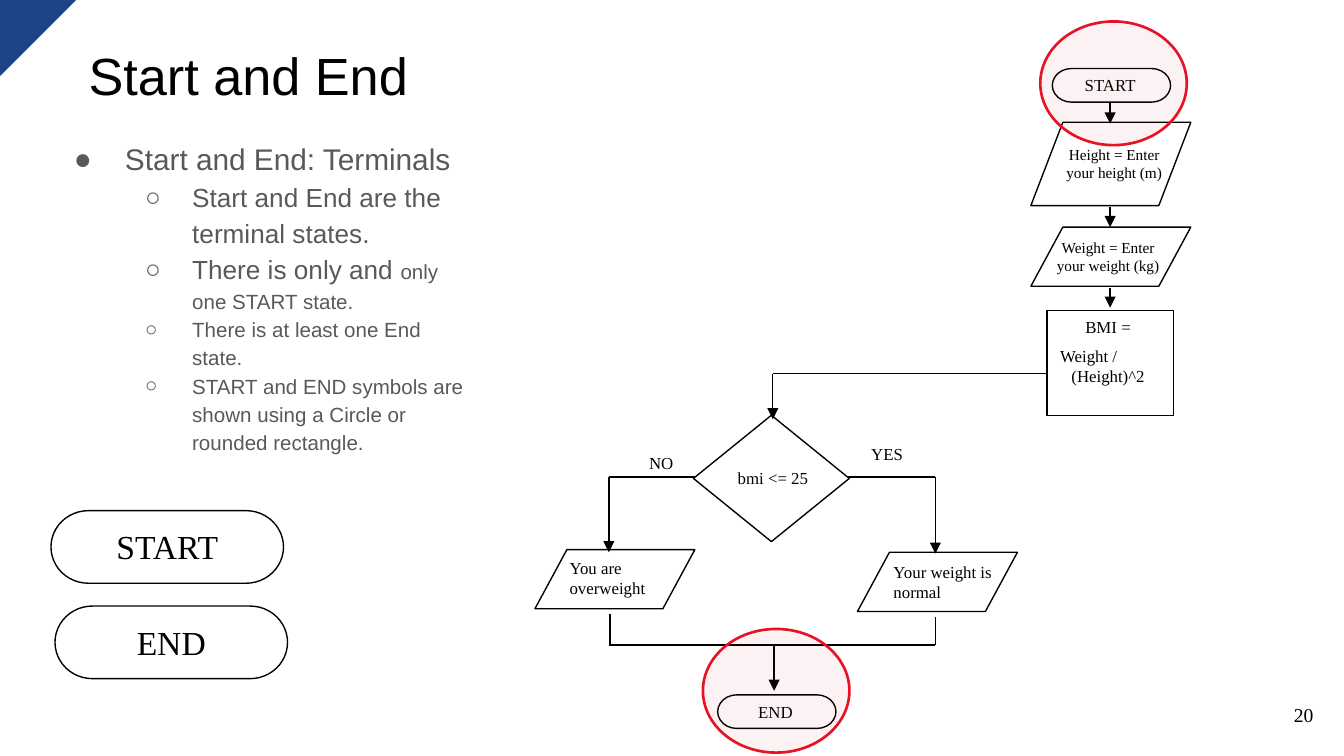
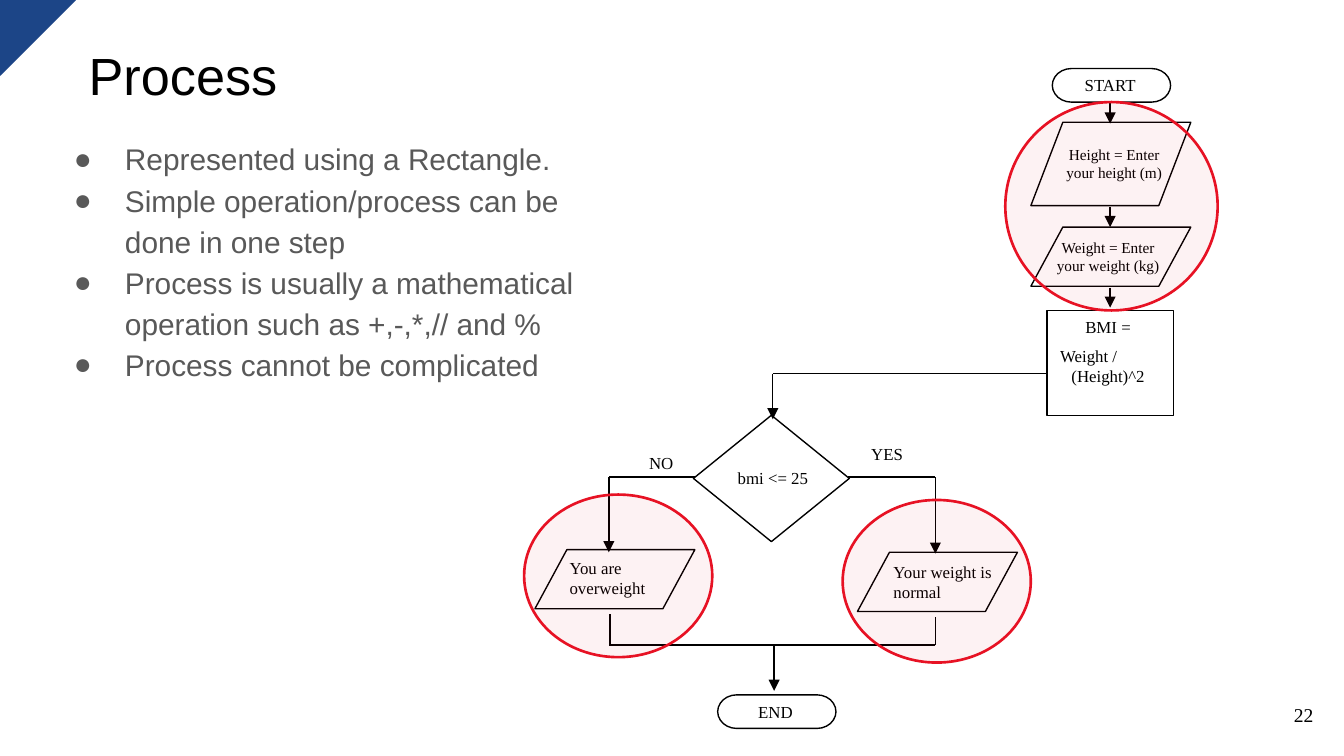
import collections

import pptx
import pptx.dml.color
import pptx.enum.shapes
import pptx.enum.text
import pptx.oxml
import pptx.oxml.ns
import pptx.util

SHAPE = pptx.enum.shapes.MSO_SHAPE
ALIGN = pptx.enum.text.PP_ALIGN
ANCHOR = pptx.enum.text.MSO_ANCHOR
FIT = pptx.enum.text.MSO_AUTO_SIZE
Pt = pptx.util.Pt

COLORS = {"ink": "000000", "body": "595959", "paper": "FFFFFF",
          "corner": "1C4587", "mark": "E71224"}
SANS, SERIF = "Arial", "Times New Roman"
CELL = 0.1  # inches per grid column and row
BULLETS = [("●", 0.5, -0.38), ("○", 1, -0.35)]  # sign, margin, indent by level

# Boxes are given in grid columns and rows
Box = collections.namedtuple("Box", "x y w h")
TITLE = Box(5.6, 2.2, 44.4, 6.8)
NUMBER = Box(92.7, 51, 6, 4.3)
CORNER = Box(0, 0, 5.6, 5.6)
CHART = Box(39.8, 5.1, 48.8, 49.1)

# Flowchart parts, relative to the CHART box: outline, its box
NODES = [
    (SHAPE.FLOWCHART_TERMINATOR, Box(38.5, 0, 8.8, 2.5)),
    (SHAPE.FLOWCHART_DATA, Box(36.9, 4, 11.9, 6.2)),
    (SHAPE.FLOWCHART_DATA, Box(36.9, 11.8, 11.9, 4.4)),
    (SHAPE.FLOWCHART_DECISION, Box(11.8, 25.8, 11.6, 9.4)),
    (SHAPE.FLOWCHART_DATA, Box(0, 35.8, 11.9, 4.4)),
    (SHAPE.FLOWCHART_DATA, Box(24, 36, 11.9, 4.4)),
    (SHAPE.FLOWCHART_TERMINATOR, Box(13.6, 46.6, 8.8, 2.5)),
]
FORMULA = Box(38.1, 18, 9.4, 7.8)
LABELS = [
    ("START", Box(39.7, 0, 6.2, 2.5), 9, ALIGN.CENTER),
    ("Height = Enter your height (m)", Box(38.4, 5.2, 9.4, 3.8), 8.2, ALIGN.CENTER),
    ("Weight = Enter your weight (kg)", Box(37.5, 12.1, 10.3, 3.8), 8.2, ALIGN.CENTER),
    ("bmi <= 25", Box(13.6, 29.2, 8.2, 2.5), 9, ALIGN.CENTER),
    ("YES", Box(23.1, 27.4, 6.2, 2.5), 9, ALIGN.CENTER),
    ("NO", Box(6.3, 28.1, 6.2, 2.5), 9, ALIGN.CENTER),
    ("You are overweight", Box(1.6, 35.9, 9.3, 4), 9, ALIGN.LEFT),
    ("Your weight is normal", Box(25.7, 36.2, 9.3, 4), 9, ALIGN.LEFT),
    ("END", Box(14.8, 46.6, 6.2, 2.5), 9, ALIGN.CENTER),
]
# Points along each path, and whether it ends in an arrowhead
PATHS = [
    ([(42.8, 2.6), (42.8, 4.1)], True),
    ([(42.8, 10.3), (42.8, 11.8)], True),
    ([(42.8, 16.3), (42.8, 17.8)], True),
    ([(38.1, 22.7), (17.7, 22.7), (17.7, 26.1)], True),
    ([(11.9, 30.4), (5.5, 30.4), (5.5, 36)], True),
    ([(23.3, 30.4), (29.8, 30.4), (29.8, 36.1)], True),
    ([(5.6, 40.6), (5.6, 42.8)], False),
    ([(29.8, 40.8), (29.8, 42.9), (5.5, 42.9)], False),
    ([(17.8, 42.9), (17.8, 46.3)], True),
]

SLIDES = [
    {"title": "Start and End", "number": "20", "body_width": 32.6,
     "items": [
         (0, [("Start and End: Terminals", 16)]),
         (1, [("Start and End are the terminal states.", 14)]),
         (1, [("There is only and ", 14), ("only one START state.", 11)]),
         (1, [("There is at least one End state.", 11)]),
         (1, [("START and END symbols are shown using a Circle or "
               "rounded rectangle.", 11)])],
     "terminals": [("START", Box(3.8, 38, 17.3, 5.4)),
                   ("END", Box(4.1, 45.1, 17.3, 5.4))],
     "marks": [Box(37.6, -3.5, 10.9, 9.2), Box(12.5, 41.7, 10.9, 9.2)]},
    {"title": "Process", "number": "22", "body_width": 43.9,
     "items": [(0, [(text, 16)]) for text in (
         "Represented using a Rectangle.",
         "Simple operation/process can be done in one step",
         "Process is usually a mathematical operation such as +,-,*,// and %",
         "Process cannot be complicated")],
     "terminals": [],
     "marks": [Box(35, 2.5, 15.8, 15.5), Box(-0.8, 31.7, 14, 12.1),
               Box(22.9, 32.1, 14, 12.1)]},
]


def cells(*counts):
    return [pptx.util.Inches(n * CELL) for n in counts]


def within(outer, inner):
    return Box(outer.x + inner.x, outer.y + inner.y, inner.w, inner.h)


def rgb(name):
    return pptx.dml.color.RGBColor.from_string(COLORS[name])


def add_xml(parent, tag, **attrs):
    el = parent.makeelement(pptx.oxml.ns.qn(tag), attrs)
    parent.append(el)
    return el


def style_run(r, size, font=SERIF, color="ink"):
    r.font.size, r.font.name = Pt(size), font
    r.font.color.rgb = rgb(color)


def set_inset(tf, inset=CELL):
    tf.margin_left = tf.margin_right = pptx.util.Inches(inset)
    tf.margin_top = tf.margin_bottom = pptx.util.Inches(inset)


def place(sp, box):
    sp.left, sp.top, sp.width, sp.height = cells(*box)


def add_outline(shapes, kind, box, line="ink", weight=0.75, fill=None):
    sp = shapes.add_shape(kind, *cells(*box))
    sp.shadow.inherit = False
    if fill:
        sp.fill.solid()
        sp.fill.fore_color.rgb = rgb(fill)
    else:
        sp.fill.background()
    sp.line.color.rgb = rgb(line)
    sp.line.width = Pt(weight)
    return sp


def write(tf, text, size, align):
    tf.word_wrap = True
    tf.text = text
    for i, p in enumerate(tf.paragraphs):
        p.alignment = align
        if i:
            p.space_before = Pt(size / 2)
        for r in p.runs:
            style_run(r, size)


def add_label(shapes, text, box, size, align=ALIGN.CENTER):
    tf = shapes.add_textbox(*cells(*box)).text_frame
    write(tf, text, size, align)
    tf.auto_size = FIT.SHAPE_TO_FIT_TEXT


def add_path(shapes, box, points, arrow):
    ends = [cells(box.x + x, box.y + y) for x, y in points]
    for start, end in zip(ends, ends[1:]):
        ln = shapes.add_connector(
            pptx.enum.shapes.MSO_CONNECTOR.STRAIGHT, *start, *end)
        ln.line.color.rgb = rgb("ink")
        ln.line.width = Pt(0.75)
        if arrow and end == ends[-1]:
            add_xml(ln.line._get_or_add_ln(), "a:tailEnd", type="triangle")
        add_xml(ln._element.spPr, "a:effectLst")


def add_title(s, text):
    sp = s.shapes.title
    place(sp, TITLE)
    sp.fill.solid()
    sp.fill.fore_color.rgb = rgb("paper")
    tf = sp.text_frame
    tf.text = text
    tf.vertical_anchor, tf.auto_size = ANCHOR.TOP, FIT.NONE
    set_inset(tf)
    tf.paragraphs[0].alignment = ALIGN.LEFT
    style_run(tf.paragraphs[0].runs[0], 28, SANS)


def add_bullet(p, level):
    sign, margin, indent = BULLETS[level]
    pPr = p._p.get_or_add_pPr()
    pPr.set("marL", str(pptx.util.Inches(margin)))
    pPr.set("indent", str(pptx.util.Inches(indent)))
    add_xml(add_xml(pPr, "a:buClr"), "a:srgbClr", val=COLORS["body"])
    add_xml(pPr, "a:buFont", typeface=SANS)
    add_xml(pPr, "a:buChar", char=sign)


def add_list(s, items, box):
    sp = s.placeholders[1]
    place(sp, box)
    tf = sp.text_frame
    tf.auto_size = FIT.NONE
    set_inset(tf)
    for i, (level, parts) in enumerate(items):
        p = tf.add_paragraph() if i else tf.paragraphs[0]
        p.level, p.line_spacing, p.space_before = level, 1.15, Pt(0)
        p.alignment = ALIGN.LEFT
        add_bullet(p, level)
        for text, size in parts:
            r = p.add_run()
            r.text = text
            style_run(r, size, SANS, "body")


def add_frame(s, number):
    # Page number and corner triangle
    tf = s.shapes.add_textbox(*cells(*NUMBER)).text_frame
    write(tf, number, 10.5, ALIGN.RIGHT)
    tf.vertical_anchor = ANCHOR.MIDDLE
    set_inset(tf)
    corner = add_outline(s.shapes, SHAPE.RIGHT_TRIANGLE, CORNER, "corner", fill="corner")
    corner.rotation = 90


def add_terminal(s, text, box):
    shapes = s.shapes.add_group_shape().shapes
    add_outline(shapes, SHAPE.FLOWCHART_TERMINATOR, box)
    add_label(shapes, text, within(box, Box(2.5, 0.65, 12.3, 4)), 18)


def add_formula(shapes, box):
    tf = add_outline(shapes, SHAPE.RECTANGLE, box).text_frame
    tf.vertical_anchor = ANCHOR.TOP
    write(tf, "BMI = \nWeight /\t (Height)^2 ", 9, ALIGN.CENTER)
    # Tab stops one inch apart push the second factor to its own line
    for p in tf.paragraphs:
        p._p.get_or_add_pPr().set("defTabSz", str(pptx.util.Inches(1)))


def add_flowchart(s, box):
    shapes = s.shapes.add_group_shape().shapes
    for kind, node in NODES:
        add_outline(shapes, kind, within(box, node))
    add_formula(shapes, within(box, FORMULA))
    for points, arrow in PATHS:
        add_path(shapes, box, points, arrow)
    for text, label, size, align in LABELS:
        add_label(shapes, text, within(box, label), size, align)


def add_mark(s, box):
    sp = add_outline(s.shapes, SHAPE.OVAL, box, "mark", 1.42, "mark")
    color = sp._element.spPr.find(".//" + pptx.oxml.ns.qn("a:srgbClr"))
    add_xml(color, "a:alpha", val="5000")


def add_slide(prs, page):
    s = prs.slides.add_slide(prs.slide_layouts[1])
    add_title(s, page["title"])
    add_list(s, page["items"], Box(3.3, 9.1, page["body_width"], 33.8))
    add_frame(s, page["number"])
    for text, box in page["terminals"]:
        add_terminal(s, text, box)
    add_flowchart(s, CHART)
    for mark in page["marks"]:
        add_mark(s, within(CHART, mark))


def main():
    prs = pptx.Presentation()
    prs.slide_width, prs.slide_height = cells(100, 56.25)
    for page in SLIDES:
        add_slide(prs, page)
    prs.save("out.pptx")


if __name__ == "__main__":
    main()
